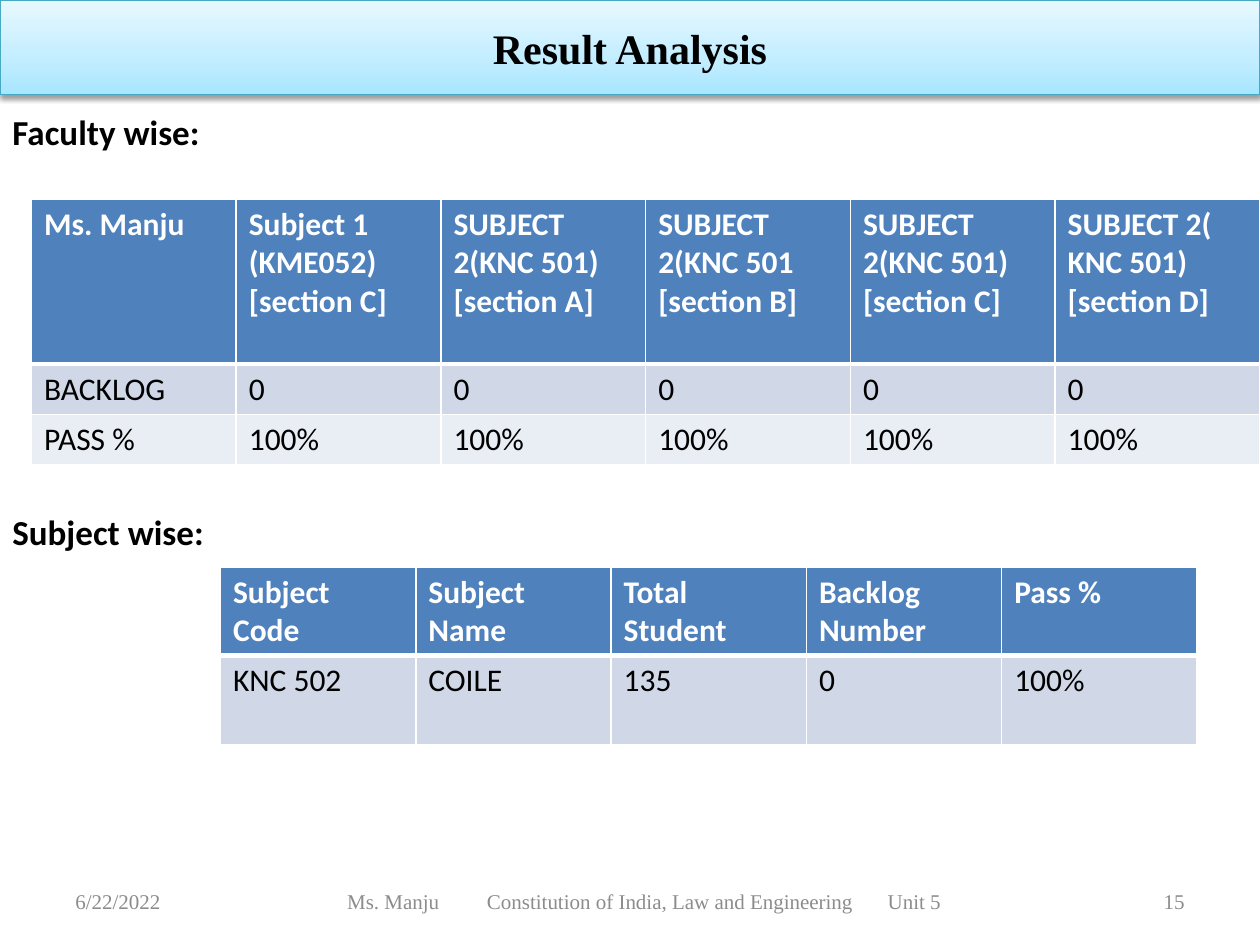
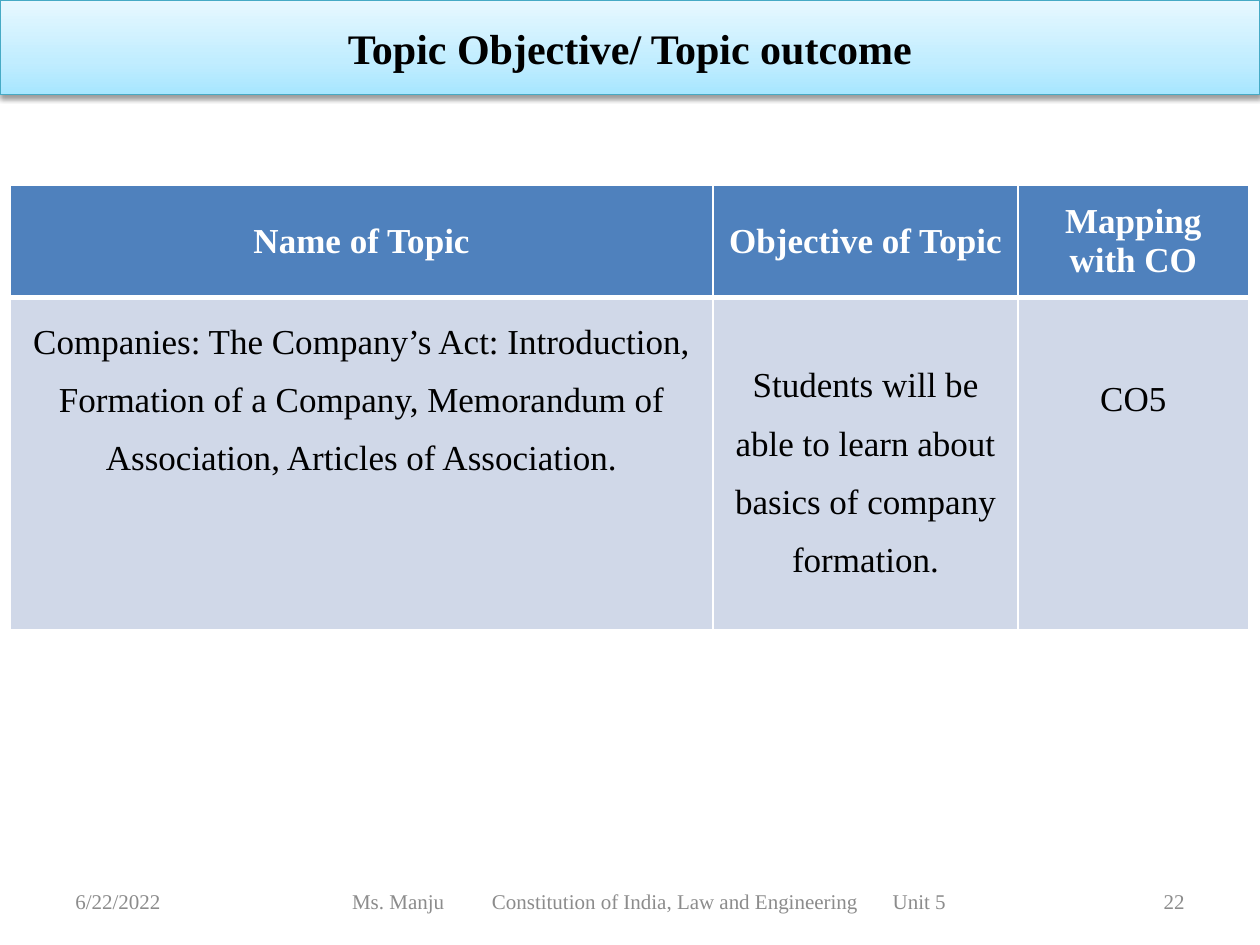
from lxml.etree import SubElement
from pptx import Presentation
from pptx.dml.color import RGBColor
from pptx.enum.text import MSO_ANCHOR, MSO_AUTO_SIZE, PP_ALIGN
from pptx.oxml import parse_xml
from pptx.oxml.ns import nsdecls, qn
from pptx.util import Inches, Pt

SERIF, SANS = "Times New Roman", "Calibri"
BLACK, WHITE, GREY = "000000", "FFFFFF", "8C8C8C"
EDGE, HEAD = "46AAC5", "4F81BD"
BANDS = ["D0D8E8", "E9EDF4"]
GLOW = [(0, "A7E6FF"), (35, "C1EDFF"), (100, "E7F8FF")]
LEFT, MID, RIGHT = PP_ALIGN.LEFT, PP_ALIGN.CENTER, PP_ALIGN.RIGHT
TOP, CENTER = MSO_ANCHOR.TOP, MSO_ANCHOR.MIDDLE
CREDIT = "Ms. Manju\tConstitution of India, Law and Engineering\tUnit 5"
CREDIT_TABS = [1.11, 4.29]
HALF_CREDIT = 2.37


def color(code):
    return RGBColor.from_string(code)


def write(frame, text, size=18, face=SANS, ink=BLACK, bold=False,
          align=LEFT, space=None, tabs=()):
    frame.word_wrap = True
    for i, line in enumerate(text.split("\n")):
        para = frame.add_paragraph() if i else frame.paragraphs[0]
        if tabs:
            stops = SubElement(para._p.get_or_add_pPr(), qn("a:tabLst"))
            for tab in tabs:
                SubElement(stops, qn("a:tab"), pos=str(Inches(tab)), algn="l")
        para.alignment = align
        if space:
            para.line_spacing = space
        run = para.add_run()
        run.text = line
        font = run.font
        font.name, font.size, font.bold = face, Pt(size), bold
        font.color.rgb = color(ink)


def label(slide, box, text, anchor=TOP, inset=0.1, **style):
    frame = slide.shapes.add_textbox(*map(Inches, box)).text_frame
    frame.vertical_anchor = anchor
    frame.margin_left = Inches(inset)
    write(frame, text, **style)


def banner(slide, box, text):
    title = slide.shapes.title
    title.left, title.top, title.width, title.height = map(Inches, box)
    stops = "".join(
        f'<a:gs pos="{at * 1000}"><a:srgbClr val="{code}"/></a:gs>'
        for at, code in GLOW)
    props = title._element.spPr
    props.append(parse_xml(
        f'<a:prstGeom {nsdecls("a")} prst="rect"><a:avLst/></a:prstGeom>'))
    props.append(parse_xml(
        f'<a:gradFill {nsdecls("a")} rotWithShape="1"><a:gsLst>{stops}'
        '</a:gsLst><a:lin ang="16200000" scaled="0"/></a:gradFill>'))
    title.line.color.rgb = color(EDGE)
    title.line.width = Pt(0.75)
    props.append(parse_xml(
        f'<a:effectLst {nsdecls("a")}><a:outerShdw blurRad="{Pt(3.1)}" '
        f'dist="{Pt(1.6)}" dir="5400000" rotWithShape="0">'
        f'<a:srgbClr val="{BLACK}"><a:alpha val="38000"/></a:srgbClr>'
        '</a:outerShdw></a:effectLst>'))
    frame = title.text_frame
    frame.auto_size = MSO_AUTO_SIZE.NONE
    frame.vertical_anchor = CENTER
    write(frame, text, size=24, face=SERIF, bold=True, align=MID)


def footer(slide, number, left, width):
    style = dict(anchor=CENTER, size=12, face=SERIF, ink=GREY)
    top, high = 6.95, 0.4
    label(slide, (0.5, top, 2.33, high), "6/22/2022", **style)
    label(slide, (left, top, width, high), CREDIT,
          inset=width / 2 - HALF_CREDIT, tabs=CREDIT_TABS, **style)
    label(slide, (7.17, top, 2.33, high), str(number), align=RIGHT, **style)


def border(cell, row):
    props = cell._tc.get_or_add_tcPr()
    for side in "LRTB":
        thick = (row, side) in [(0, "B"), (1, "T")]
        line = SubElement(props, qn(f"a:ln{side}"), w=str(Pt(3 if thick else 1)))
        fill = SubElement(line, qn("a:solidFill"))
        SubElement(fill, qn("a:srgbClr"), val=WHITE)


def grid(slide, left, top, cols, rows, data, anchor=TOP, space=None, **style):
    box = map(Inches, (left, top, sum(cols), sum(rows)))
    table = slide.shapes.add_table(len(rows), len(cols), *box).table
    for col, width in zip(table.columns, cols):
        col.width = Inches(width)
    for r, (row, height) in enumerate(zip(table.rows, rows)):
        row.height = Inches(height)
        for cell, text in zip(row.cells, data[r]):
            border(cell, r)
            cell.fill.solid()
            cell.fill.fore_color.rgb = color(BANDS[(r - 1) % 2] if r else HEAD)
            cell.vertical_anchor = anchor
            write(cell.text_frame, text, bold=r == 0, ink=BLACK if r else WHITE,
                  space=space if r else None, **style)
    return table


def start(deck, title, number, left, width):
    slide = deck.slides.add_slide(deck.slide_layouts[5])
    banner(slide, (0, 0, 10, 0.75), title)
    footer(slide, number, left, width)
    return slide


def results(deck):
    slide = start(deck, "Result Analysis", 15, 2, 6.25)
    grid(slide, 1.75, 4.5, [1.55] * 5, [0.7, 0.71], [
        ["Subject Code", "Subject Name", "Total Student", "Backlog\nNumber",
         "Pass %"],
        ["KNC 502", "COILE", "135", "0", "100%"]])
    grid(slide, 0.25, 1.58, [9.75 / 6] * 6, [1.31, 0.4, 0.4], [
        ["Ms. Manju", "Subject 1 (KME052) [section C]",
         "SUBJECT 2(KNC 501) [section A]", "SUBJECT 2(KNC 501\n[section B]",
         "SUBJECT 2(KNC 501)\n[section C]",
         "SUBJECT 2(\nKNC 501)\n[section D]"],
        ["BACKLOG"] + ["0"] * 5,
        ["PASS %"] + ["100%"] * 5])
    for top, text in [(0.83, "Faculty wise:"), (4, "Subject wise:")]:
        label(slide, (0, top, 2.5, 0.44), text, size=20, bold=True)


def topics(deck):
    slide = start(deck, "Topic Objective/ Topic outcome", 22, 2.08, 6.17)
    table = grid(slide, 0.08, 1.47, [5.58, 2.42, 1.83], [0.89, 2.64], [
        ["Name of Topic", "Objective of Topic", "Mapping with CO"],
        ["Companies: The Company’s Act: Introduction, Formation of a Company, "
         "Memorandum of Association, Articles of Association.",
         "Students will be able to learn about basics of company formation.",
         "CO5"]],
        anchor=CENTER, space=1.5, size=20, face=SERIF, align=MID)
    topic, code = table.cell(1, 0), table.cell(1, 2)
    topic.vertical_anchor = code.vertical_anchor = TOP
    code.margin_top = Inches(0.66)
    code.text_frame.paragraphs[0].line_spacing = 1.0


def main():
    deck = Presentation()
    deck.slide_width, deck.slide_height = Inches(10), Inches(7.5)
    results(deck)
    topics(deck)
    deck.save("out.pptx")


if __name__ == "__main__":
    main()
